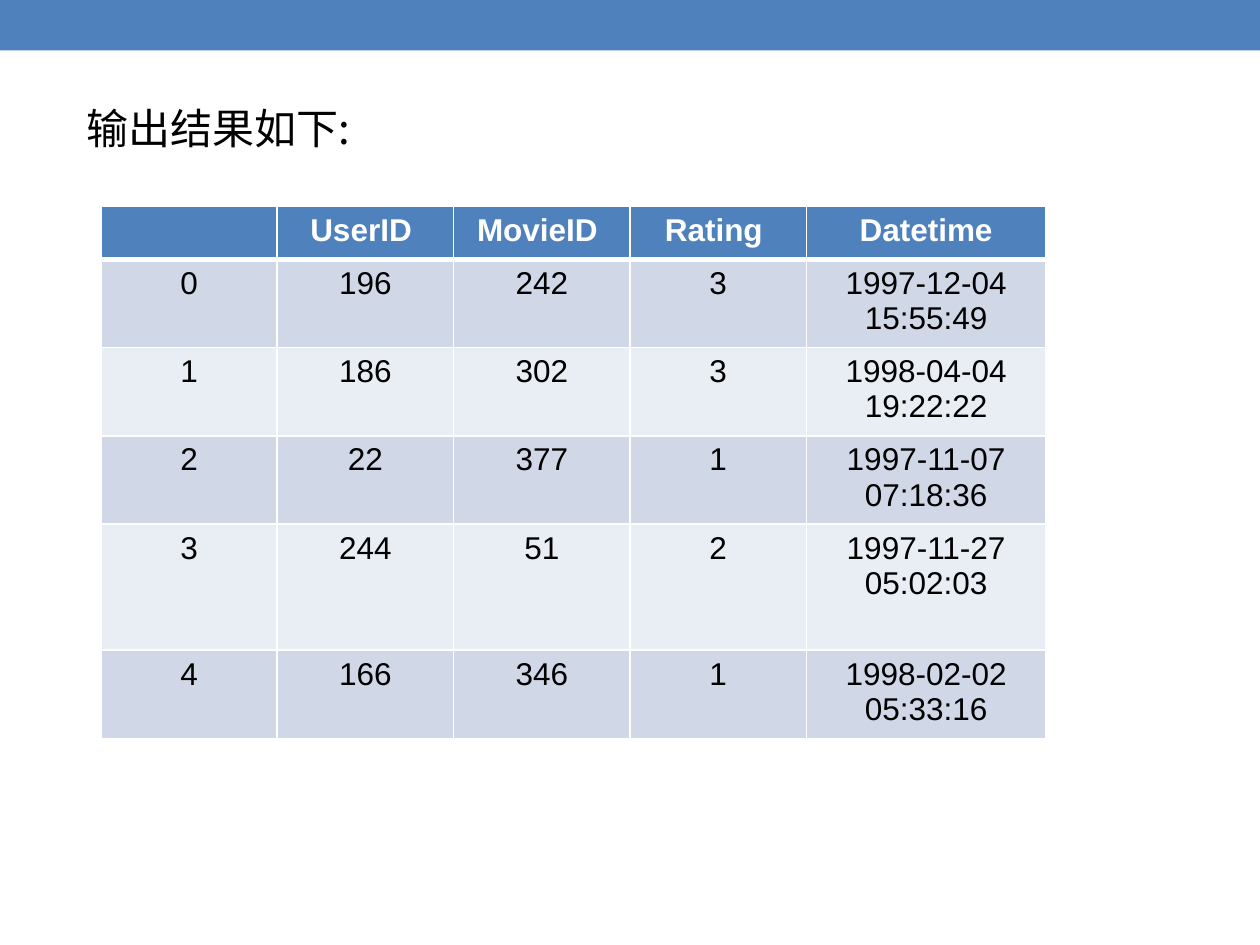
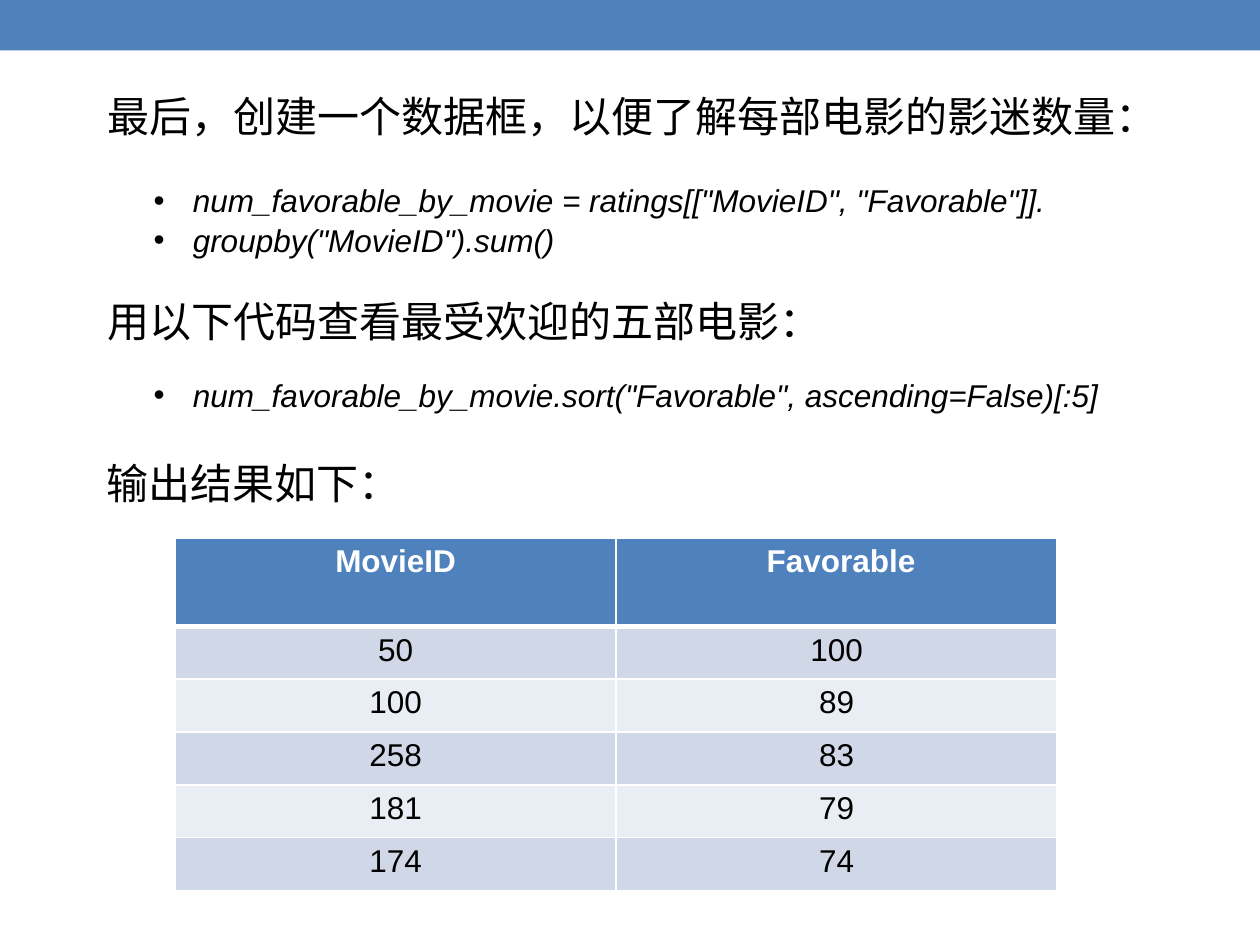
from dataclasses import dataclass

from lxml.etree import SubElement
from pptx import Presentation
from pptx.dml.color import RGBColor
from pptx.enum.shapes import MSO_SHAPE as Shape
from pptx.enum.text import MSO_ANCHOR as Anchor, MSO_AUTO_SIZE as AutoSize, PP_ALIGN as Align
from pptx.oxml.ns import qn
from pptx.util import Inches, Pt


@dataclass(frozen=True)
class Theme:
    blue: RGBColor = RGBColor.from_string("4F81BD")
    white: RGBColor = RGBColor.from_string("FFFFFF")
    black: RGBColor = RGBColor.from_string("000000")
    bands: tuple = (RGBColor.from_string("D0D8E8"), RGBColor.from_string("E9EDF4"))
    heading_font: str = "Noto Sans CJK SC"
    body_font: str = "Arial"
    heading_size: int = 24
    body_size: int = 18


THEME = Theme()

RATINGS_TITLE = "输出结果如下:"
RATINGS = [
    ("", "UserID ", "MovieID ", "Rating ", "Datetime"),
    ("0", "196", "242", "3", "1997-12-04 15:55:49"),
    ("1", "186", "302", "3", "1998-04-04 19:22:22"),
    ("2", "22", "377", "1", "1997-11-07 07:18:36"),
    ("3", "244", "51", "2", "1997-11-27 05:02:03"),
    ("4", "166", "346", "1", "1998-02-02 05:33:16"),
]

FAVORABLE_TITLE = "最后，创建一个数据框，以便了解每部电影的影迷数量："
# (kind, text, points of space before)
FAVORABLE_STEPS = [
    ("code", 'num_favorable_by_movie = ratings[["MovieID", "Favorable"]].', 0),
    ("code", 'groupby("MovieID").sum()', 1),
    ("heading", "用以下代码查看最受欢迎的五部电影：", 21),
    ("code", 'num_favorable_by_movie.sort("Favorable", ascending=False)[:5]', 17),
]
FAVORABLE_RESULT = "输出结果如下："
FAVORABLE = [
    ("MovieID", " Favorable"),
    ("50", "100"),
    ("100", "89"),
    ("258", "83"),
    ("181", "79"),
    ("174", "74"),
]


def style(paragraph, name, size, color=THEME.black, bold=False, italic=False):
    font = paragraph.font
    font.name, font.size = name, Pt(size)
    font.bold, font.italic = bold, italic
    font.color.rgb = color
    latin = paragraph._p.pPr.find(qn("a:defRPr")).find(qn("a:latin"))
    latin.addnext(latin.makeelement(qn("a:ea"), typeface=name))


def write_heading(paragraph, text, space_before=0):
    paragraph.text = text
    paragraph.alignment = Align.LEFT
    paragraph.space_before = Pt(space_before)
    style(paragraph, THEME.heading_font, THEME.heading_size)


def write_code(paragraph, text, space_before):
    paragraph.text = text
    paragraph.space_before = Pt(space_before)
    style(paragraph, THEME.body_font, THEME.body_size, italic=True)


def set_bullet(paragraph, char=None):
    """Give the paragraph a hanging bullet, or none at the left edge."""
    props = paragraph._p.get_or_add_pPr()
    props.set("marL", str(Inches(0.68 if char else 0)))
    props.set("indent", str(Inches(-0.31 if char else 0)))
    bullet = props.makeelement(qn("a:buChar" if char else "a:buNone"))
    if char:
        bullet.set("char", char)
    props.find(qn("a:defRPr")).addprevious(bullet)


def place(box, left, top, width, height):
    box.left, box.top = Inches(left), Inches(top)
    box.width, box.height = Inches(width), Inches(height)
    frame = box.text_frame
    frame.word_wrap = True
    frame.auto_size = AutoSize.NONE
    frame.vertical_anchor = Anchor.TOP
    return frame


def add_master_band(deck, page):
    """Draw the top band and move it behind everything on the slide master."""
    band = page.shapes.add_shape(Shape.RECTANGLE, 0, 0, deck.slide_width, Inches(0.4))
    band.shadow.inherit = False
    band.fill.solid()
    band.fill.fore_color.rgb = THEME.blue
    band.line.fill.background()
    deck.slide_master.shapes.element.insert(2, band.element)


def set_borders(cell, is_header):
    props = cell._tc.get_or_add_tcPr()
    for side in "LRTB":
        width = 3 if is_header and side == "B" else 1
        line = SubElement(props, qn(f"a:ln{side}"), w=str(Pt(width)))
        fill = SubElement(line, qn("a:solidFill"))
        SubElement(fill, qn("a:srgbClr"), val=str(THEME.white))


def add_data_table(page, rows, left, top, widths, heights):
    table = page.shapes.add_table(
        len(rows), len(widths), Inches(left), Inches(top),
        Inches(sum(widths)), Inches(sum(heights))).table
    for column, width in zip(table.columns, widths):
        column.width = Inches(width)
    for r, (values, height) in enumerate(zip(rows, heights)):
        table.rows[r].height = Inches(height)
        is_header = r == 0
        for c, value in enumerate(values):
            cell = table.cell(r, c)
            set_borders(cell, is_header)
            cell.fill.solid()
            cell.fill.fore_color.rgb = THEME.blue if is_header else THEME.bands[(r - 1) % 2]
            para = cell.text_frame.paragraphs[0]
            para.text = value
            para.alignment = Align.CENTER
            style(para, THEME.body_font, THEME.body_size,
                  THEME.white if is_header else THEME.black, bold=is_header)


def build_ratings(page):
    title = place(page.shapes.title, 0.59, 0.76, 8.8, 0.5)
    write_heading(title.paragraphs[0], RATINGS_TITLE)
    add_data_table(page, RATINGS, 0.8, 1.64, [1.4] * 4 + [1.9],
                   [0.42, 0.7, 0.7, 0.7, 1, 0.7])


def build_favorable(page):
    left, width = 0.75, 8.64
    title = place(page.shapes.title, left, 0.67, width, 0.5)
    write_heading(title.paragraphs[0], FAVORABLE_TITLE)

    body = place(page.placeholders[1], left, 1.39, width, 2)
    for index, (kind, text, space_before) in enumerate(FAVORABLE_STEPS):
        para = body.add_paragraph() if index else body.paragraphs[0]
        if kind == "code":
            write_code(para, text, space_before)
            set_bullet(para, "•")
        else:
            write_heading(para, text, space_before)
            set_bullet(para)

    result = place(page.shapes.add_textbox(0, 0, 0, 0), left, 3.58, width, 0.5)
    write_heading(result.paragraphs[0], FAVORABLE_RESULT)
    add_data_table(page, FAVORABLE, 1.39, 4.27, [3.5] * 2, [0.7] + [0.42] * 5)


def main():
    deck = Presentation()
    deck.slide_width, deck.slide_height = Inches(10), Inches(7.5)
    title_only, title_and_body = deck.slide_layouts[5], deck.slide_layouts[1]
    ratings_page = deck.slides.add_slide(title_only)
    add_master_band(deck, ratings_page)
    build_ratings(ratings_page)
    build_favorable(deck.slides.add_slide(title_and_body))
    deck.save("out.pptx")


if __name__ == "__main__":
    main()
